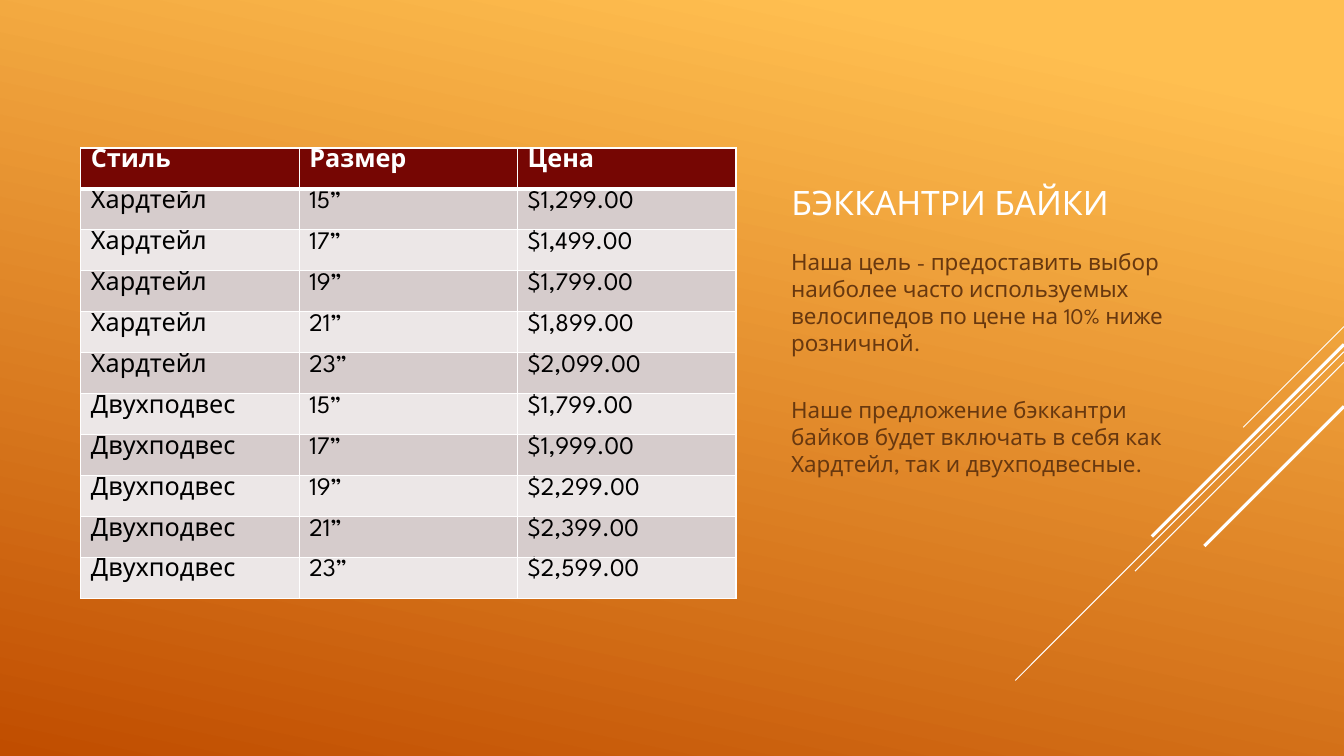
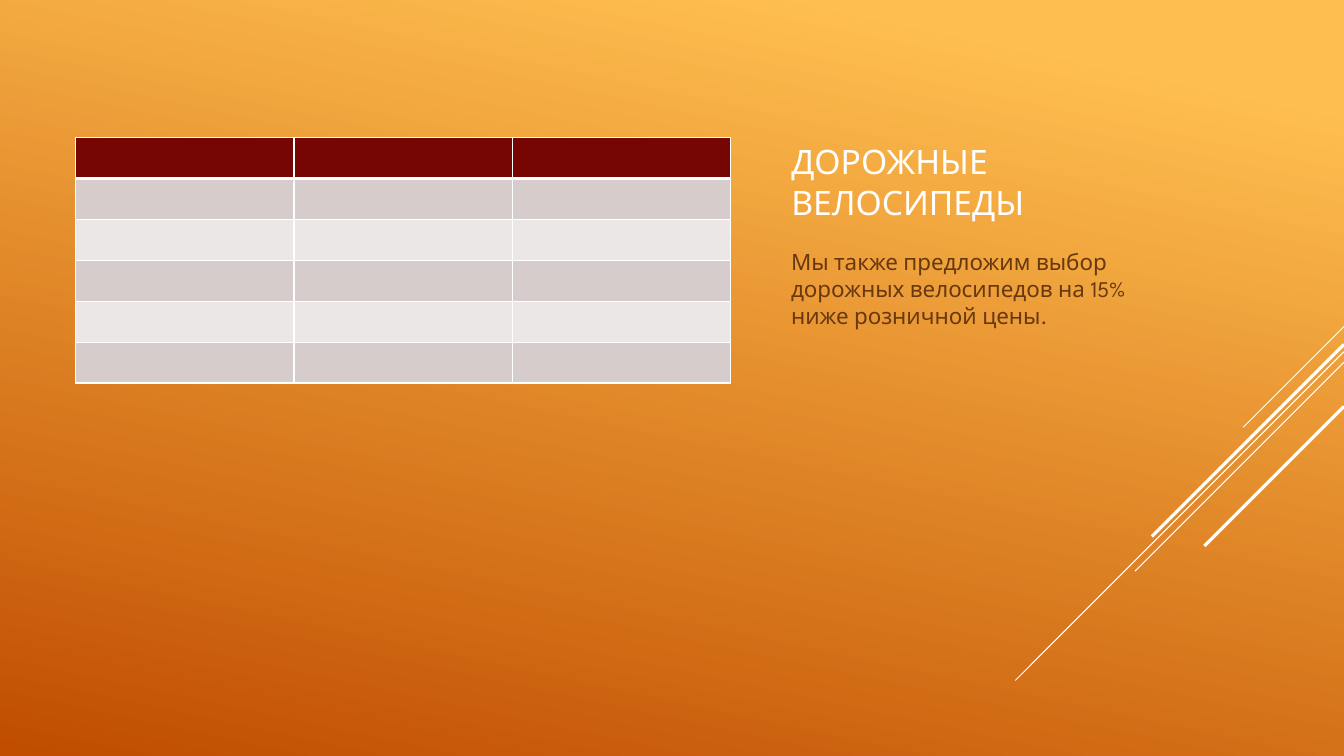
from pptx import Presentation
from pptx import util as u
from pptx.dml import color
from pptx.enum import shapes, text
from pptx.oxml import parse_xml
from pptx.oxml.ns import nsdecls

FONT = "League Spartan"
WHITE, BLACK, BROWN = "FFFFFF", "000000", "68380F"
HEADER_FILL, ODD_FILL, EVEN_FILL = "760603", "D6CCCC", "ECE7E7"
SLIDE_W, SLIDE_H = 1280, 720
COLUMN_W, ROW_H = 208, 39
TEXT_LEFT, TEXT_W = 744, 384
BACKGROUND = [(0.1, "FFBF50"), (1, "C04D00")]
STREAKS = [(311, 96, 0.75), (335, 313, 0.75), (345, 199, 0.75),
           (328, 183, 2.25), (387, 133, 2.25)]

PRICES = {
    "Хардтейл": ["$1,299.00", "$1,499.00", "$1,799.00", "$1,899.00", "$2,099.00"],
    "Двухподвес": ["$1,799.00", "$1,999.00", "$2,299.00", "$2,399.00", "$2,599.00"],
}
SIZES = ["15”", "17”", "19”", "21”", "23”"]
BACKCOUNTRY_ROWS = [["Стиль", "Размер", "Цена"]] + [
    [style, size, price]
    for style, prices in PRICES.items()
    for size, price in zip(SIZES, prices)
]
ROAD_ROWS = [[""] * 3 for _ in range(6)]


def px(length):
    return u.Emu(length * 9525)


def rgb(value):
    return color.RGBColor.from_string(value)


def apply(target, values):
    for name, value in values.items():
        setattr(target, name, value)


def place(target, left, top, width, height):
    apply(target, {"left": px(left), "top": px(top),
                   "width": px(width), "height": px(height)})


def write(paragraph, words, size, ink, bold=False, **spacing):
    apply(paragraph, {"line_spacing": 1.0, **spacing})
    run = paragraph.add_run()
    run.text = words
    apply(run.font, {"name": FONT, "size": u.Pt(size), "bold": bold})
    run.font.color.rgb = rgb(ink)


def paint_background(master):
    fill = master.background.fill
    fill.gradient()
    fill.gradient_angle = 258
    for stop, (position, shade) in zip(fill.gradient_stops, BACKGROUND):
        stop.position = position
        stop.color.rgb = rgb(shade)


def add_streaks(slide):
    layout_tree = slide.slide_layout.shapes.element
    for number, (top, run, weight) in enumerate(STREAKS, 20):
        streak = slide.shapes.add_connector(
            shapes.MSO_CONNECTOR.STRAIGHT,
            px(SLIDE_W), px(top), px(SLIDE_W - run), px(top + run))
        streak.line.color.rgb = rgb(WHITE)
        streak.line.width = u.Pt(weight)
        streak.element.spPr.append(parse_xml(f"<a:effectLst {nsdecls('a')}/>"))
        streak.element.xpath(".//p:cNvPr")[0].set("id", str(number))
        layout_tree.append(streak.element)


def add_title(slide, words):
    title = slide.shapes.title
    place(title, TEXT_LEFT, 72, TEXT_W, 144)
    frame = title.text_frame
    apply(frame, {"word_wrap": True, "auto_size": text.MSO_AUTO_SIZE.NONE,
                  "vertical_anchor": text.MSO_ANCHOR.BOTTOM})
    write(frame.paragraphs[0], words, 24, WHITE, alignment=text.PP_ALIGN.LEFT)


def add_description(slide, paragraphs):
    box = slide.shapes.add_textbox(px(TEXT_LEFT), px(232), px(TEXT_W), px(220))
    frame = box.text_frame
    frame.word_wrap = True
    for index, words in enumerate(paragraphs):
        paragraph = frame.add_paragraph() if index else frame.paragraphs[0]
        write(paragraph, words, 16, BROWN,
              space_before=u.Pt(23 if index else 3), space_after=u.Pt(6))


def set_borders(cell, row):
    weights = {"L": 1, "R": 1, "T": 3 if row == 1 else 1, "B": 3 if row == 0 else 1}
    properties = cell._tc.get_or_add_tcPr()
    for index, (side, weight) in enumerate(weights.items()):
        properties.insert(index, parse_xml(
            f'<a:ln{side} {nsdecls("a")} w="{u.Pt(weight)}"><a:solidFill>'
            f'<a:srgbClr val="{WHITE}"/></a:solidFill></a:ln{side}>'))


def add_price_table(slide, left, top, rows):
    columns = len(rows[0])
    table = slide.shapes.add_table(
        len(rows), columns, px(left), px(top),
        px(COLUMN_W * columns), px(ROW_H * len(rows))).table
    for row, values in enumerate(rows):
        table.rows[row].height = px(ROW_H)
        shade = HEADER_FILL if row == 0 else ODD_FILL if row % 2 else EVEN_FILL
        for column, words in enumerate(values):
            cell = table.cell(row, column)
            apply(cell, {"margin_top": px(2), "margin_bottom": px(2)})
            cell.fill.solid()
            cell.fill.fore_color.rgb = rgb(shade)
            set_borders(cell, row)
            if words:
                write(cell.text_frame.paragraphs[0], words, 18,
                      BLACK if row else WHITE, bold=row == 0)


def main():
    deck = Presentation()
    apply(deck, {"slide_width": px(SLIDE_W), "slide_height": px(SLIDE_H)})
    paint_background(deck.slide_master)
    title_only = deck.slide_layouts[5]

    backcountry = deck.slides.add_slide(title_only)
    add_streaks(backcountry)
    add_title(backcountry, "БЭККАНТРИ БАЙКИ")
    add_price_table(backcountry, 77, 141, BACKCOUNTRY_ROWS)
    add_description(backcountry, [
        "Наша цель - предоставить выбор наиболее часто используемых "
        "велосипедов по цене на 10% ниже розничной.",
        "Наше предложение бэккантри байков будет включать в себя как "
        "Хардтейл, так и двухподвесные.",
    ])

    road = deck.slides.add_slide(title_only)
    add_title(road, "ДОРОЖНЫЕ ВЕЛОСИПЕДЫ")
    add_description(road, [
        "Мы также предложим выбор дорожных велосипедов на 15% ниже розничной цены."])
    add_price_table(road, 72, 131, ROAD_ROWS)

    deck.save("out.pptx")


if __name__ == "__main__":
    main()
